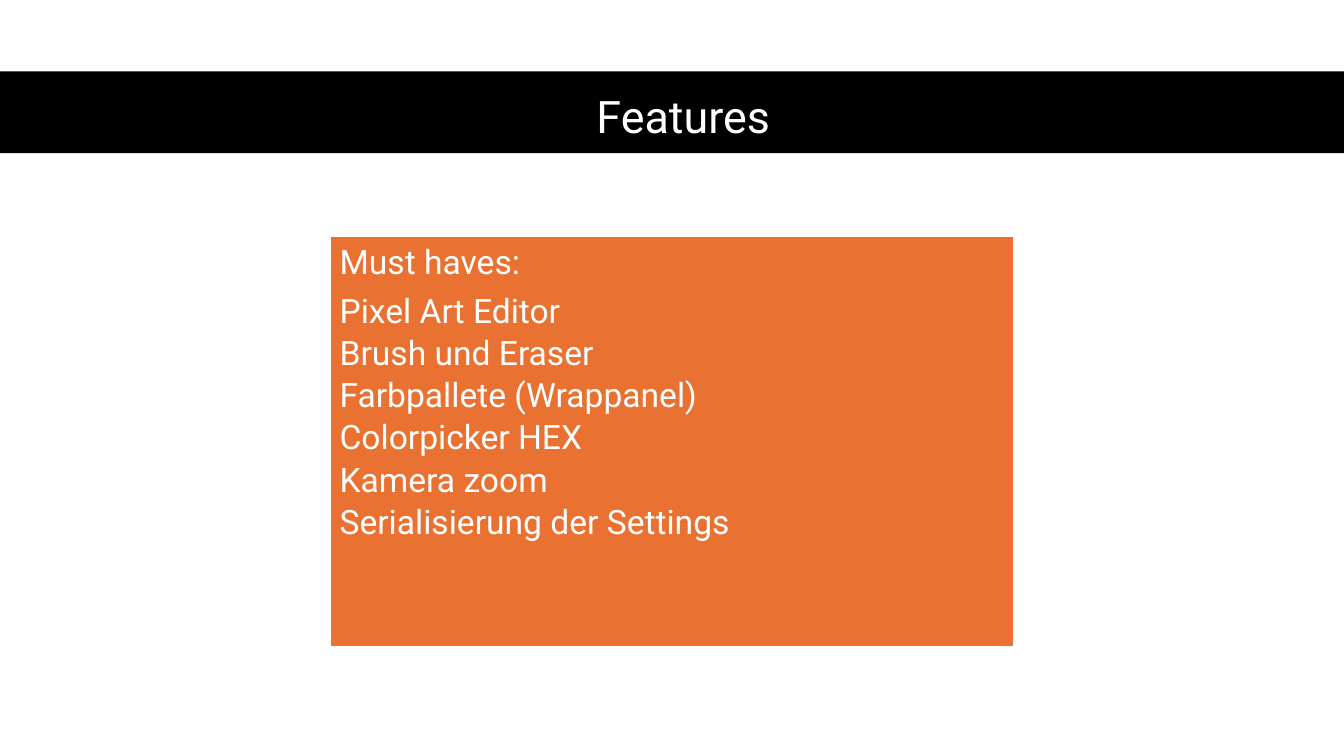
from pptx import Presentation
from pptx.dml.color import RGBColor
from pptx.enum.shapes import MSO_SHAPE as Kind
from pptx.enum.text import MSO_ANCHOR as Anchor, PP_ALIGN as Align
from pptx.util import Cm, Pt

FONT = "Roboto"
WHITE = "FFFFFF"
BLACK = "000000"
ORANGE = "E97132"
ITEMS = [
    "Pixel Art Editor",
    "Brush und Eraser",
    "Farbpallete (Wrappanel)",
    "Colorpicker HEX",
    "Kamera zoom",
    "Serialisierung der Settings",
]


def color(code):
    return RGBColor.from_string(code)


def add_rect(slide, box, fill, line=None):
    rect = slide.shapes.add_shape(Kind.RECTANGLE, *map(Cm, box))
    rect.shadow.inherit = False
    rect.fill.solid()
    rect.fill.fore_color.rgb = color(fill)
    if line:
        rect.line.color.rgb = color(line)
        rect.line.width = Pt(1.5)
    else:
        rect.line.fill.background()


def add_frame(slide, box, anchor, inset):
    frame = slide.shapes.add_textbox(*map(Cm, box)).text_frame
    frame.word_wrap = True
    frame.vertical_anchor = anchor
    frame.margin_left = frame.margin_right = Cm(0.25)
    frame.margin_top = frame.margin_bottom = Cm(inset)
    return frame


def add_line(para, text, size, align=Align.LEFT, after=0):
    para.alignment = align
    para.line_spacing = 0.9
    para.space_after = Pt(after)
    run = para.add_run()
    run.text = text
    run.font.name = FONT
    run.font.size = Pt(size)
    run.font.color.rgb = color(WHITE)


def add_title(slide, text):
    add_rect(slide, (0, 1.8, 33.87, 2.06), BLACK)
    frame = add_frame(slide, (1.65, 1.98, 31.14, 2.06), Anchor.MIDDLE, 0.13)
    add_line(frame.paragraphs[0], text, 32, Align.CENTER)


def add_card(slide, head, items):
    box = (8.31, 5.94, 17.25, 10.36)
    add_rect(slide, box, ORANGE, WHITE)
    frame = add_frame(slide, box, Anchor.TOP, 0.25)
    add_line(frame.paragraphs[0], head, 24, after=9)
    for item in items:
        add_line(frame.add_paragraph(), item, 24, after=4.2)


def main():
    deck = Presentation()
    deck.slide_width = Cm(33.87)
    deck.slide_height = Cm(19.05)
    slide = deck.slides.add_slide(deck.slide_layouts[6])
    add_title(slide, "Features")
    add_card(slide, "Must haves:", ITEMS)
    deck.save("out.pptx")


if __name__ == "__main__":
    main()
